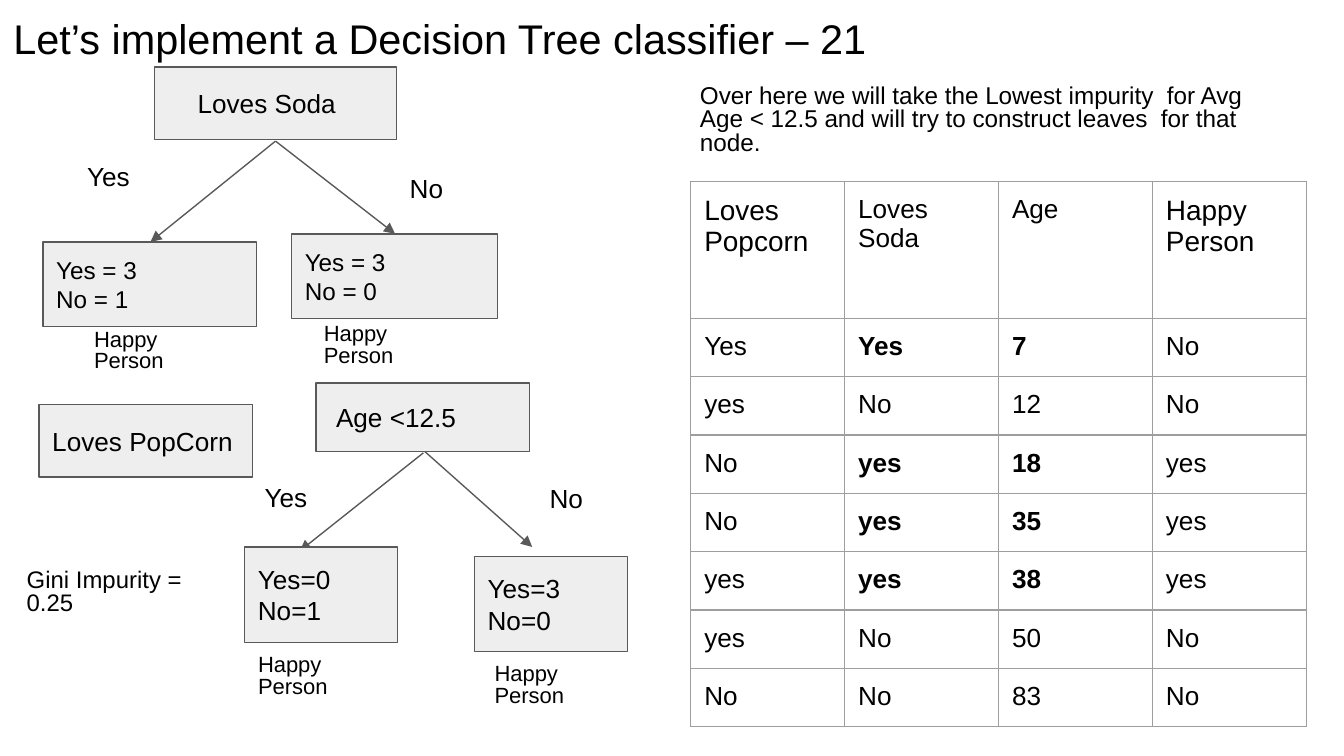
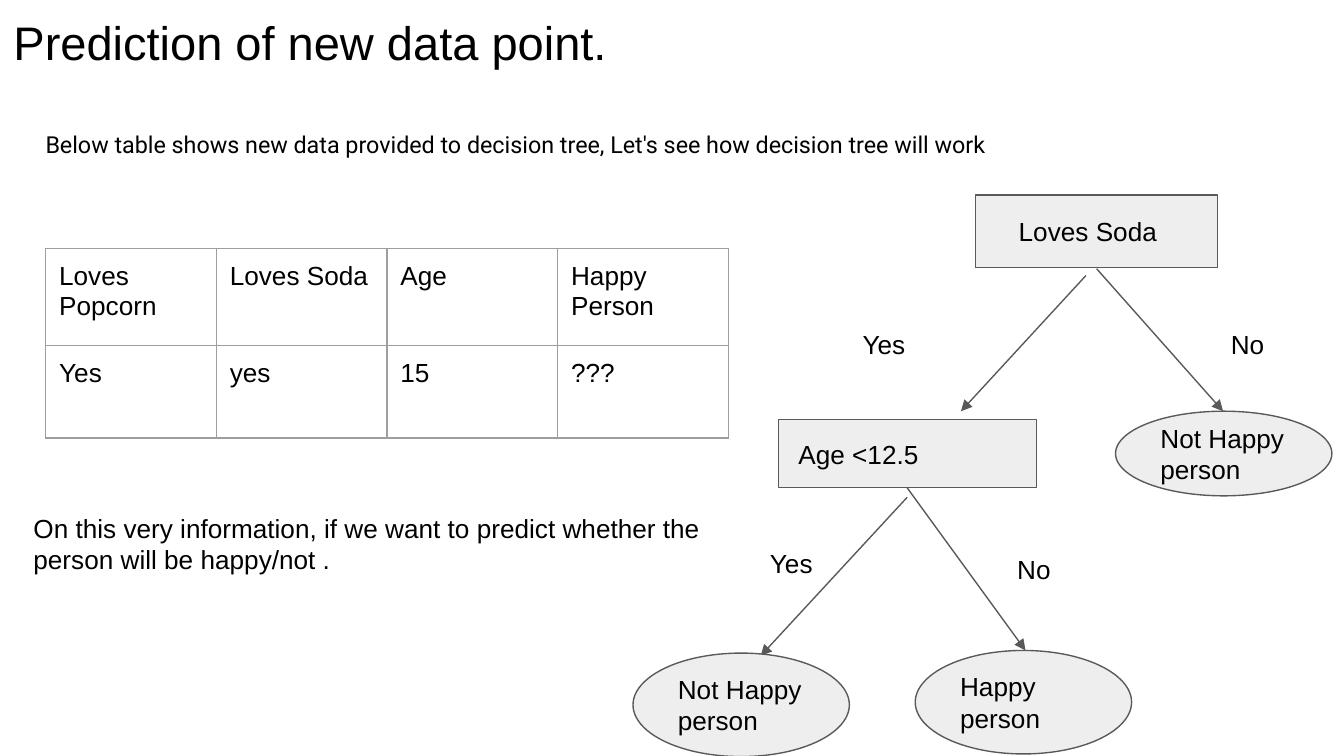
import lxml.etree
import pptx
import pptx.util
import pptx.dml.color
import pptx.enum.shapes
import pptx.enum.text
import pptx.oxml.ns

PX = 9144  # 100 px to the inch
SLIDE_WIDTH = 1000
INK, PAPER, NODE_FILL, NODE_LINE, GRID = "000000", "FFFFFF", "EEEEEE", "595959", "9E9E9E"
FONT, INSET = "Arial", 10
SHAPE = pptx.enum.shapes.MSO_SHAPE
RECT, PROCESS, OVAL = SHAPE.RECTANGLE, SHAPE.FLOWCHART_PROCESS, SHAPE.OVAL
HEADERS = ["Loves Popcorn", "Loves Soda", "Age", "Happy Person"]

# Content: nodes are (kind, box, lines, size, indent); texts are (box, text, style);
# arrows are (from x, from y, to x, to y)
CAPTION = {"size": 11.8, "spacing": 0.4, "gap": 6, "indent": 5}
HAPPY_PERSON = "Happy\nPerson"

SLIDES = [
    {
        "title": ("Let’s implement a Decision Tree classifier – 21", 22.2),
        "arrows": [(205, 105, 112, 180), (205, 105, 294, 174),
                   (315, 337, 223, 410), (315, 335, 396, 407)],
        "nodes": [
            (RECT, (115, 50, 180, 54), "Loves Soda", 14, 22),
            (PROCESS, (32, 180, 159, 63), "Yes = 3\nNo = 1", 13, 0),
            (PROCESS, (217, 174, 153, 63), "Yes = 3\nNo = 0", 13, 0),
            (PROCESS, (29, 301, 159, 54), "Loves PopCorn", 14, 0),
            (RECT, (235, 285, 159, 51), "Age <12.5", 14, 5),
            (RECT, (182, 407, 114, 71), "Yes=0\nNo=1", 14, 0),
            (RECT, (353, 414, 114, 71), "Yes=3\nNo=0", 14, 0),
        ],
        "texts": [
            ((55, 242, 106, 44), HAPPY_PERSON, CAPTION),
            ((226, 238, 114, 44), HAPPY_PERSON, CAPTION),
            ((177, 484, 124, 55), HAPPY_PERSON, CAPTION),
            ((353, 491, 114, 44), HAPPY_PERSON, CAPTION),
            ((10, 414, 159, 55), "Gini Impurity = 0.25", {"size": 12.8, "spacing": 0.8}),
            ((511, 54, 449, 67), "Over here we will take the Lowest impurity  for Avg Age < 12.5 "
             "and will try to construct leaves  for that node.", {"size": 13, "spacing": 0.8}),
            ((55, 109, 60, 44), "Yes", {}),
            ((295, 118, 60, 44), "No", {}),
            ((187, 348, 68, 44), "Yes", {}),
            ((399, 349, 55, 44), "No", {}),
        ],
        "table": {
            "box": (514, 135, 458),
            "heights": [102] + [43] * 7,
            "header_sizes": [15, 14, 14, 15],
            "bold_soda_lovers": True,
            "rows": [
                ["Yes", "Yes", "7", "No"],
                ["yes", "No", "12", "No"],
                ["No", "yes", "18", "yes"],
                ["No", "yes", "35", "yes"],
                ["yes", "yes", "38", "yes"],
                ["yes", "No", "50", "No"],
                ["No", "No", "83", "No"],
            ],
        },
    },
    {
        "title": ("Prediction of new data point.", 25.2),
        "arrows": [(808, 205, 715, 306), (816, 200, 910, 306),
                   (675, 370, 566, 488), (675, 363, 763, 484)],
        "nodes": [
            (RECT, (726, 145, 180, 54), "Loves Soda", 14, 22),
            (RECT, (579, 312, 192, 51), "Age <12.5", 14, 5),
            (OVAL, (830, 306, 161, 63), "Not Happy person", 14, 0),
            (OVAL, (471, 486, 161, 77), "Not Happy person", 14, 0),
            (OVAL, (681, 484, 161, 77), "Happy person", 14, 0),
        ],
        "texts": [
            ((24, 87, 775, 41), "Below table shows new data provided to decision tree, "
             "Let's see how decision tree will work", {"size": 12.5, "font": "Roboto"}),
            ((15, 371, 519, 67), "On this very information, if we want to predict whether "
             "the person will be happy/not .", {}),
            ((632, 234, 94, 44), "Yes", {}),
            ((906, 234, 49, 44), "No", {}),
            ((563, 397, 69, 44), "Yes", {}),
            ((747, 402, 69, 44), "No", {}),
        ],
        "table": {
            "box": (34, 185, 508),
            "heights": [72, 69],
            "header_sizes": [14] * 4,
            "bold_soda_lovers": False,
            "rows": [["Yes", "yes", "15", "???"]],
        },
    },
]


# Shared helpers
def px(*values):
    return [pptx.util.Emu(v * PX) for v in values]


def color(hex_value):
    return pptx.dml.color.RGBColor.from_string(hex_value)


def fill(target, hex_value):
    target.fill.solid()
    target.fill.fore_color.rgb = color(hex_value)


def outline(line):
    line.color.rgb = color(NODE_LINE)
    line.width = pptx.util.Pt(0.75)


def style_run(r, size, font=FONT, bold=False):
    r.font.size = pptx.util.Pt(size)
    r.font.name = font
    r.font.bold = bold
    r.font.color.rgb = color(INK)


def write(tf, text, size=14, font=FONT, spacing=None, gap=0, indent=0):
    tf.text = text
    tf.word_wrap = True
    tf.margin_left, tf.margin_right, tf.margin_top, tf.margin_bottom = px(
        INSET + indent, INSET, INSET, INSET)
    for i, p in enumerate(tf.paragraphs):
        p.alignment = pptx.enum.text.PP_ALIGN.LEFT
        if spacing:
            p.line_spacing = spacing
        if i and gap:
            p.space_before = pptx.util.Pt(gap)
        for r in p.runs:
            style_run(r, size, font)


def add_title(s, text, size):
    sp = s.shapes.title
    sp.left, sp.top, sp.width, sp.height = px(0, 0, 932, 63)
    write(sp.text_frame, text, size)
    sp.text_frame.auto_size = pptx.enum.text.MSO_AUTO_SIZE.NONE
    sp.text_frame.vertical_anchor = pptx.enum.text.MSO_ANCHOR.TOP


def add_arrow(s, *ends):
    c = s.shapes.add_connector(pptx.enum.shapes.MSO_CONNECTOR.STRAIGHT, *px(*ends))
    outline(c.line)
    qn = pptx.oxml.ns.qn
    lxml.etree.SubElement(c.line._get_or_add_ln(), qn("a:tailEnd"), type="triangle")
    lxml.etree.SubElement(c._element.spPr, qn("a:effectLst"))


def add_node(s, kind, box, text, size, indent):
    sp = s.shapes.add_shape(kind, *px(*box))
    sp.shadow.inherit = False
    fill(sp, NODE_FILL)
    outline(sp.line)
    write(sp.text_frame, text, size, indent=indent)
    sp.text_frame.vertical_anchor = pptx.enum.text.MSO_ANCHOR.MIDDLE


def add_text(s, box, text, style):
    write(s.shapes.add_textbox(*px(*box)).text_frame, text, **style)


def add_borders(cell):
    qn = pptx.oxml.ns.qn
    tc_pr = cell._tc.get_or_add_tcPr()
    for i, side in enumerate(("a:lnL", "a:lnR", "a:lnT", "a:lnB")):
        ln = tc_pr.makeelement(qn(side), {"w": str(pptx.util.Pt(0.75))})
        solid = lxml.etree.SubElement(ln, qn("a:solidFill"))
        lxml.etree.SubElement(solid, qn("a:srgbClr"), val=GRID)
        tc_pr.insert(i, ln)


def add_grid(s, box, heights, header_sizes, bold_soda_lovers, rows):
    left, top, width = box
    rows = [HEADERS] + rows
    tbl = s.shapes.add_table(len(rows), len(HEADERS),
                             *px(left, top, width, sum(heights))).table
    tbl.first_row = tbl.horz_banding = False
    for col in tbl.columns:
        col.width = pptx.util.Emu(width * PX // len(HEADERS))
    for i, (row, height) in enumerate(zip(rows, heights)):
        tbl.rows[i].height = px(height)[0]
        for j, text in enumerate(row):
            cell = tbl.cell(i, j)
            fill(cell, PAPER)
            add_borders(cell)
            cell.margin_left, cell.margin_right, cell.margin_top, cell.margin_bottom = px(*[INSET] * 4)
            cell.text = text
            bold = bold_soda_lovers and row[1].lower() == "yes" and j in (1, 2)
            style_run(cell.text_frame.paragraphs[0].runs[0],
                      14 if i else header_sizes[j], bold=bold)


def main():
    prs = pptx.Presentation()
    prs.slide_width = pptx.util.Emu(SLIDE_WIDTH * PX)
    prs.slide_height = pptx.util.Emu(SLIDE_WIDTH * PX * 9 // 16)
    for content in SLIDES:
        s = prs.slides.add_slide(prs.slide_layouts[5])
        add_title(s, *content["title"])
        for arrow in content["arrows"]:
            add_arrow(s, *arrow)
        for node in content["nodes"]:
            add_node(s, *node)
        for text in content["texts"]:
            add_text(s, *text)
        add_grid(s, **content["table"])
    prs.save("out.pptx")


if __name__ == "__main__":
    main()
